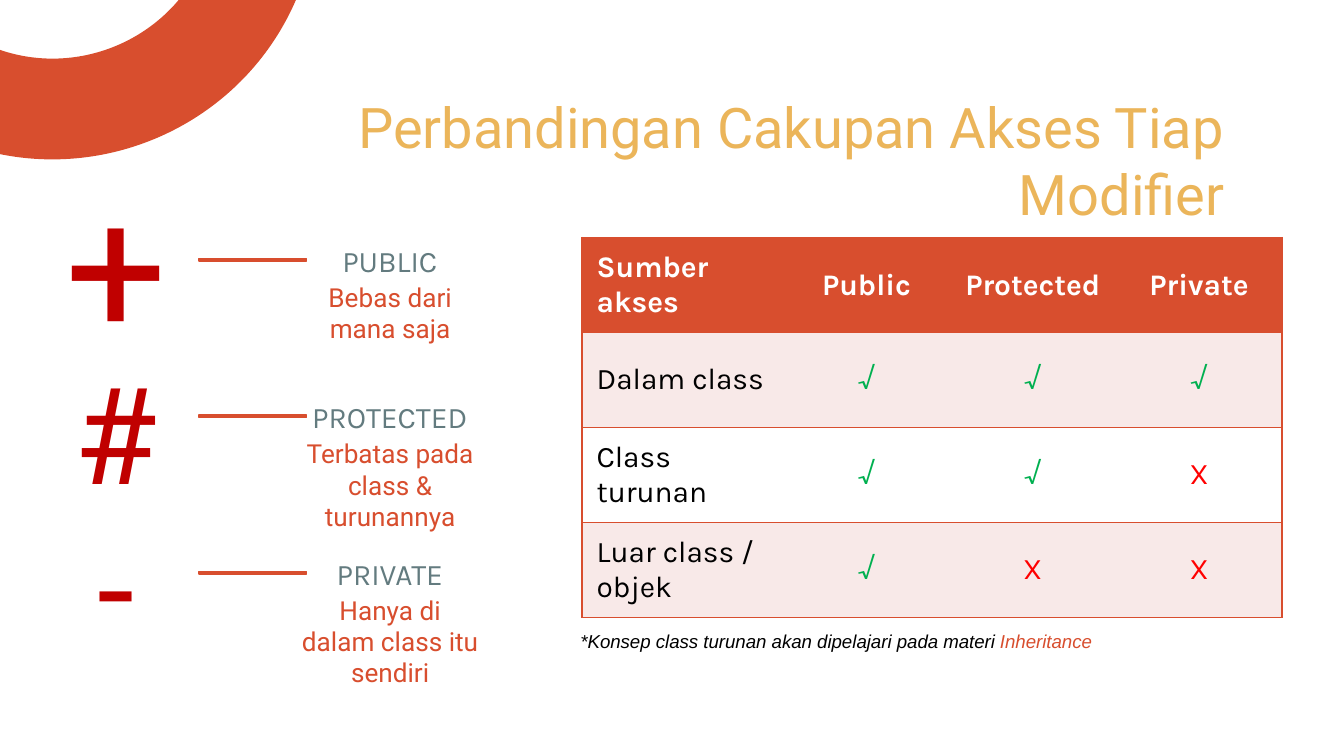
from lxml.etree import SubElement
from pptx import Presentation
from pptx.dml.color import RGBColor
from pptx.enum.shapes import MSO_SHAPE
from pptx.enum.text import MSO_ANCHOR, PP_ALIGN
from pptx.oxml.ns import qn
from pptx.util import Inches, Pt

ORANGE = RGBColor(0xD8, 0x4E, 0x2E)
GOLD = RGBColor(0xEB, 0xB5, 0x5A)
SLATE = RGBColor(0x63, 0x7B, 0x7F)
DARK_RED = RGBColor(0xC0, 0x00, 0x00)
RED = RGBColor(0xFF, 0x00, 0x00)
GREEN = RGBColor(0x00, 0xB0, 0x50)
PINK = RGBColor(0xF8, 0xE9, 0xE8)
WHITE = RGBColor(0xFF, 0xFF, 0xFF)
BLACK = RGBColor(0x00, 0x00, 0x00)

prs = Presentation()
prs.slide_width = Inches(10)
prs.slide_height = prs.slide_width * 9 // 16
s = prs.slides.add_slide(prs.slide_layouts[6])

# Grid: 100 columns by 100 rows
COL = prs.slide_width / 100
ROW = prs.slide_height / 100


def add_run(p, text, size, font, color, bold=False, italic=False):
    r = p.add_run()
    r.text = text
    r.font.size, r.font.name = Pt(size), font
    r.font.bold, r.font.italic = bold, italic
    r.font.color.rgb = color


def add_text(x, y, w, h, align, runs, anchor=MSO_ANCHOR.TOP, inset=0.1, wrap=True):
    sp = s.shapes.add_textbox(int(x * COL), int(y * ROW), int(w * COL), int(h * ROW))
    tf = sp.text_frame
    tf.word_wrap = wrap
    tf.vertical_anchor = anchor
    tf.margin_left = tf.margin_right = Inches(0.1)
    tf.margin_top = tf.margin_bottom = Inches(inset)
    p = tf.paragraphs[0]
    p.alignment = align
    for run in runs:
        add_run(p, *run)


# Quarter ring in the top left corner, centred on the corner (R, R) of its box
R, HOLE = int(19.7 * COL), int(12.2 * COL)
K = 0.55  # control point distance of a quarter circle, as a share of its radius
fb = s.shapes.build_freeform(0, R)
fb.add_line_segments([(R, 0), (R, R - HOLE), (R - HOLE, R)])
ring = fb.convert_to_shape(int(-0.8 * COL), int(-8.4 * ROW))
ring.left, ring.top = int(-0.8 * COL), int(-8.4 * ROW)
outer_side, _, inner_side = ring._element.findall(".//" + qn("a:lnTo"))
curves = [
    (outer_side, [(0, R - K * R), (R - K * R, 0)]),
    (inner_side, [(R - K * HOLE, R - HOLE), (R - HOLE, R - K * HOLE)]),
]
for side, controls in curves:
    side.tag = qn("a:cubicBezTo")
    for i, (x, y) in enumerate(controls):
        pt = SubElement(side, qn("a:pt"), x=str(int(x)), y=str(int(y)))
        side.insert(i, pt)
ring.rotation = 203.5
ring.shadow.inherit = False
ring.fill.solid()
ring.fill.fore_color.rgb = ORANGE
ring.line.fill.background()

# Title
add_text(15.2, 10.5, 76.9, 11.2, PP_ALIGN.RIGHT,
         [("Perbandingan Cakupan Akses Tiap Modifier", 30, "Roboto", GOLD)])

# Modifiers: symbol, bar, name and scope
PITCH = 20.7
modifiers = [
    ("+", 96, 25.2, "PUBLIC", "Bebas dari mana saja", 12.2),
    ("#", 72, 43.8, "PROTECTED", "Terbatas pada class & turunannya", 15.2),
    ("-", 72, 64.1, "PRIVATE", "Hanya di dalam class itu sendiri", 15.2),
]
for i, (symbol, size, top, name, scope, width) in enumerate(modifiers):
    y = i * PITCH
    add_text(2.5, top, 12.3, 25.6, PP_ALIGN.CENTER,
             [(symbol, size, "Roboto", DARK_RED)], MSO_ANCHOR.BOTTOM)
    bar = s.shapes.add_shape(MSO_SHAPE.RECTANGLE, int(14.8 * COL), int((34.2 + y) * ROW),
                             int(8 * COL), int(0.35 * ROW))
    bar.shadow.inherit = False
    bar.fill.solid()
    bar.fill.fore_color.rgb = ORANGE
    bar.line.color.rgb = ORANGE
    bar.line.width = Pt(0.75)
    add_text(21.4, 30.3 + y, 15.2, 6, PP_ALIGN.CENTER, [(name, 16, "Karla", SLATE)])
    add_text(29.03 - width / 2, 35.4 + y, width, 8, PP_ALIGN.CENTER,
             [(scope, 14, "Roboto", ORANGE)])

# Access table
rows = [
    ("Sumber akses", "Public", "Protected", "Private"),
    ("Dalam class", "√", "√", "√"),
    ("Class turunan", "√", "√", "X"),
    ("Luar class / objek", "√", "X", "X"),
]
col_widths = [15, 12.35, 12.4, 12.35]
TABLE_HEIGHT = 50.25
MARK_COLORS = {"√": GREEN, "X": RED}
table = s.shapes.add_table(len(rows), len(col_widths), int(43.3 * COL), int(31.45 * ROW),
                           int(sum(col_widths) * COL), int(TABLE_HEIGHT * ROW)).table
for column, width in zip(table.columns, col_widths):
    column.width = int(width * COL)
for i, row in enumerate(rows):
    table.rows[i].height = int(TABLE_HEIGHT * ROW / len(rows))
    for j, text in enumerate(row):
        cell = table.cell(i, j)
        cell.vertical_anchor = MSO_ANCHOR.MIDDLE
        cell.margin_left = cell.margin_right = Inches(0.11)
        cell.margin_top = cell.margin_bottom = Inches(0.05)
        p = cell.text_frame.paragraphs[0]
        p.alignment = PP_ALIGN.CENTER if j else PP_ALIGN.LEFT
        color = MARK_COLORS.get(text, BLACK) if i else WHITE
        add_run(p, text, 16, "Karla", color, bold=i == 0)

        # Borders: every row line, plus the outer sides
        tc_pr = cell._tc.get_or_add_tcPr()
        sides = {"a:lnL": j == 0, "a:lnR": j == len(row) - 1, "a:lnT": True, "a:lnB": True}
        for tag, shown in sides.items():
            ln = SubElement(tc_pr, qn(tag), w=str(Pt(1)))
            if shown:
                SubElement(SubElement(ln, qn("a:solidFill")), qn("a:srgbClr"), val=str(ORANGE))
            else:
                SubElement(ln, qn("a:noFill"))
        cell.fill.solid()
        cell.fill.fore_color.rgb = ORANGE if i == 0 else PINK if i % 2 else WHITE

# Footnote
add_text(42.2, 82.4, 40.4, 4.8, PP_ALIGN.LEFT,
         [("*Konsep class turunan akan dipelajari pada materi ", 10, "Arial", BLACK, False, True),
          ("Inheritance", 10, "Arial", ORANGE, False, True)],
         inset=0.05, wrap=False)

prs.save("out.pptx")
